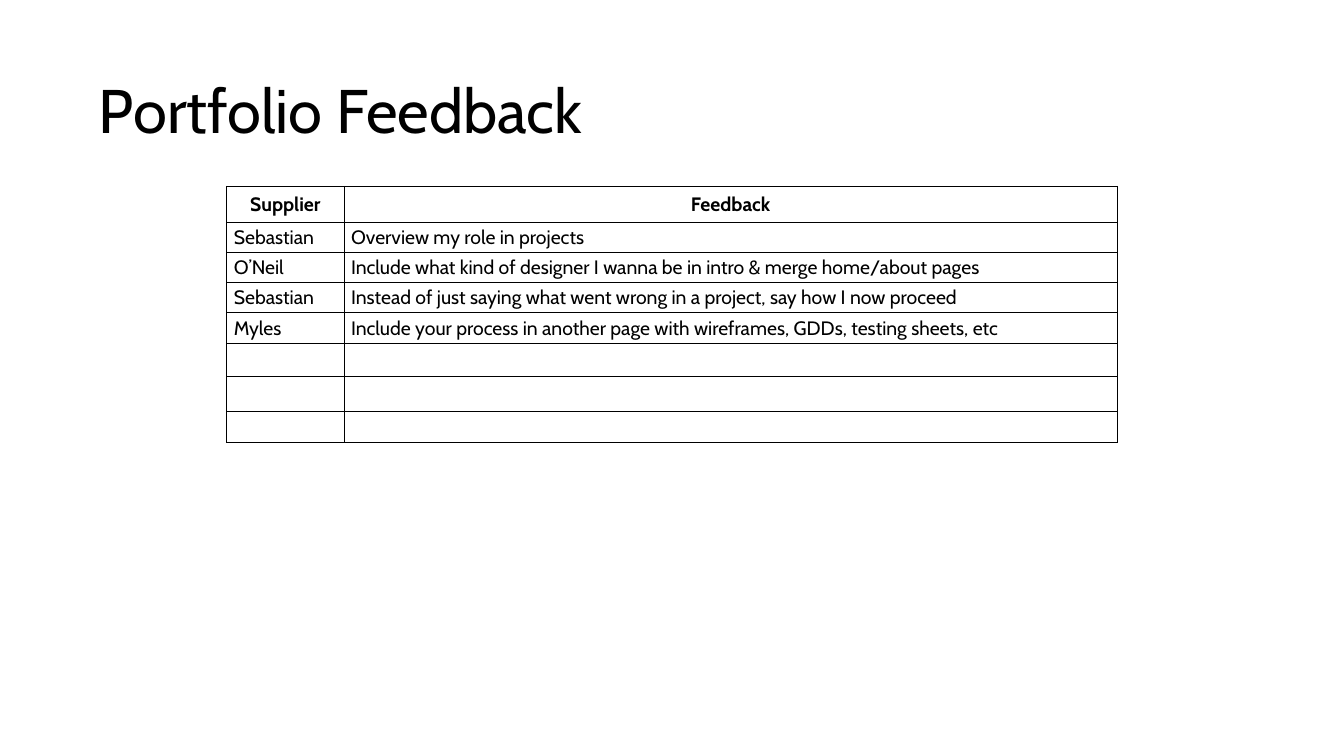
"""Build the Portfolio Feedback slide with its table of suppliers and comments."""
from dataclasses import dataclass

from lxml.etree import SubElement
from pptx import Presentation
from pptx.dml.color import RGBColor
from pptx.enum.text import MSO_ANCHOR, PP_ALIGN
from pptx.oxml.ns import qn
from pptx.slide import Slide
from pptx.table import _Cell
from pptx.text.text import _Paragraph
from pptx.util import Emu, Pt

PX = 9144
FONT = "Cabin"
COLORS = {"ink": "000000", "paper": "FFFFFF"}
COLUMN_WIDTHS = (168, 1108)


@dataclass(frozen=True)
class Row:
    height: int
    supplier: str = ""
    feedback: str = ""
    header: bool = False


ROWS = (
    Row(51, "Supplier", "Feedback", header=True),
    Row(42, "Sebastian", "Overview my role in projects"),
    Row(41, "O’Neil", "Include what kind of designer I wanna be in intro & merge home/about pages"),
    Row(42, "Sebastian", "Instead of just saying what went wrong in a project, say how I now proceed"),
    Row(39, "Myles", "Include your process in another page with wireframes, GDDs, testing sheets, etc"),
    Row(48),
    Row(50),
    Row(44),
)


def px(n: int) -> Emu:
    return Emu(n * PX)


def add_run(p: _Paragraph, text: str, size: float, bold: bool = False) -> None:
    r = p.add_run()
    r.text = text
    r.font.name = FONT
    r.font.size = Pt(size)
    r.font.bold = bold
    r.font.color.rgb = RGBColor.from_string(COLORS["ink"])


def add_title(s: Slide, text: str) -> None:
    sp = s.shapes.add_textbox(px(132), px(58), px(1661), px(209))
    tf = sp.text_frame
    tf.word_wrap = True
    tf.vertical_anchor = MSO_ANCHOR.MIDDLE
    p = tf.paragraphs[0]
    p.line_spacing = 0.9
    add_run(p, text, 63.5)


def add_borders(cell: _Cell) -> None:
    props = cell._tc.get_or_add_tcPr()
    for side in ("lnL", "lnR", "lnT", "lnB"):
        line = SubElement(props, qn(f"a:{side}"), w=str(Pt(1)))
        fill = SubElement(line, qn("a:solidFill"))
        SubElement(fill, qn("a:srgbClr"), val=COLORS["ink"])


def fill_cell(cell: _Cell, text: str, header: bool) -> None:
    add_borders(cell)
    cell.fill.solid()
    cell.fill.fore_color.rgb = RGBColor.from_string(COLORS["paper"])
    if header:
        cell.vertical_anchor = MSO_ANCHOR.MIDDLE
    if text:
        p = cell.text_frame.paragraphs[0]
        p.alignment = PP_ALIGN.CENTER if header else PP_ALIGN.LEFT
        add_run(p, text, 20, header)


def add_feedback_table(s: Slide, rows: tuple[Row, ...]) -> None:
    height = sum(row.height for row in rows)
    table = s.shapes.add_table(
        len(rows), len(COLUMN_WIDTHS), px(325), px(267), px(sum(COLUMN_WIDTHS)), px(height)
    ).table
    for column, width in zip(table.columns, COLUMN_WIDTHS):
        column.width = px(width)
    for i, row in enumerate(rows):
        table.rows[i].height = px(row.height)
        for j, text in enumerate((row.supplier, row.feedback)):
            fill_cell(table.cell(i, j), text, row.header)


def main() -> None:
    prs = Presentation()
    prs.slide_width, prs.slide_height = px(1926), px(1083)
    s = prs.slides.add_slide(prs.slide_layouts[6])
    add_title(s, "Portfolio Feedback")
    add_feedback_table(s, ROWS)
    prs.save("out.pptx")


if __name__ == "__main__":
    main()
